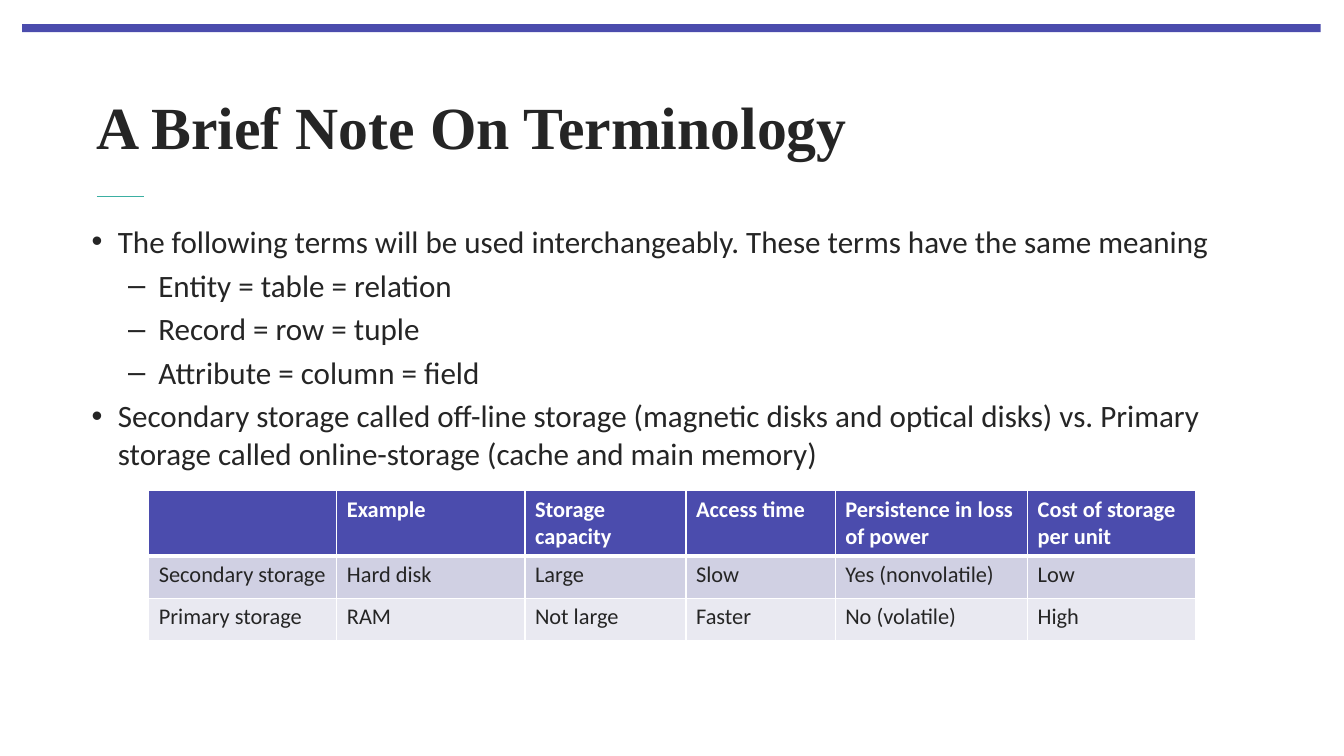
import dataclasses

import lxml.etree
import pptx
import pptx.dml.color
import pptx.enum.shapes
import pptx.enum.text
import pptx.oxml
import pptx.oxml.ns
import pptx.util

Cm = pptx.util.Cm
Pt = pptx.util.Pt
qn = pptx.oxml.ns.qn


@dataclasses.dataclass(frozen=True)
class Theme:
    """Colours, fonts and type sizes of the slide."""
    brand: str = "4B4CAD"
    accent: str = "3BAFA2"
    ink: str = "252525"
    white: str = "FFFFFF"
    bands: tuple = ("D0D0E3", "E9E9F1")
    serif: str = "Times New Roman"
    sans: str = "Calibri"
    title: float = 42.7
    body: float = 22.2
    cell: float = 16


THEME = Theme()
TITLE = "A Brief Note On Terminology"
POINTS = [
    (0, "The following terms will be used interchangeably. These terms have the same meaning"),
    (1, "Entity = table = relation"),
    (1, "Record = row = tuple"),
    (1, "Attribute = column = field"),
    (0, "Secondary storage called off-line storage (magnetic disks and optical disks) vs. "
        "Primary storage called online-storage (cache and main memory)"),
]
LEVELS = [("•", 0.66, 0.66), ("–", 1.68, 0.76)]
ROWS = [
    ["", "Example", "Storage capacity", "Access time",
     "Persistence in loss of power", "Cost of storage per unit"],
    ["Secondary storage", "Hard disk", "Large", "Slow", "Yes (nonvolatile)", "Low"],
    ["Primary storage", "RAM", "Not large", "Faster", "No (volatile)", "High"],
]
WIDTHS = [4.74, 4.74, 4.06, 3.76, 4.85, 4.24]
HEIGHTS = [1.6, 1.07, 1.07]


def rgb(code):
    """Turn a hex code into a colour."""
    return pptx.dml.color.RGBColor.from_string(code)


def write(para, text, size=THEME.cell, face=THEME.sans, color=THEME.ink, bold=False):
    """Add formatted text to a paragraph."""
    run = para.add_run()
    run.text = text
    font = run.font
    font.size, font.name, font.bold = Pt(size), face, bold
    font.color.rgb = rgb(color)


def place(shape, box, inset, anchor):
    """Move a placeholder into a box and set its text frame."""
    shape.left, shape.top, shape.width, shape.height = map(Cm, box)
    frame = shape.text_frame
    frame.word_wrap = True
    frame.auto_size = pptx.enum.text.MSO_AUTO_SIZE.NONE
    frame.vertical_anchor = anchor
    frame.margin_left = frame.margin_right = Cm(inset)
    frame.margin_top = frame.margin_bottom = 0
    return frame


def add_bar(slide, box):
    """Draw the coloured bar along the top."""
    bar = slide.shapes.add_shape(
        pptx.enum.shapes.MSO_SHAPE.RECTANGLE, *map(Cm, box))
    bar.shadow.inherit = False
    bar.fill.solid()
    bar.fill.fore_color.rgb = rgb(THEME.brand)
    bar.line.fill.background()


def add_head(slide, box):
    """Set the title with a short rule below it."""
    left, top, _, height = box
    frame = place(slide.shapes.title, box, 0, pptx.enum.text.MSO_ANCHOR.MIDDLE)
    para = frame.paragraphs[0]
    para.alignment = pptx.enum.text.PP_ALIGN.LEFT
    write(para, TITLE, size=THEME.title, face=THEME.serif, bold=True)
    level = Cm(top + height + 0.2)
    rule = slide.shapes.add_connector(
        pptx.enum.shapes.MSO_CONNECTOR.STRAIGHT,
        Cm(left), level, Cm(left + 1.2), level)
    rule.line.color.rgb = rgb(THEME.accent)
    rule.line.width = Pt(0.5)
    lxml.etree.SubElement(rule.element.spPr, qn("a:effectLst"))


def add_list(slide, box):
    """Fill the body with the two-level list."""
    frame = place(slide.placeholders[1], box, 0.25, pptx.enum.text.MSO_ANCHOR.TOP)
    for i, (level, text) in enumerate(POINTS):
        para = frame.add_paragraph() if i else frame.paragraphs[0]
        mark, left, hang = LEVELS[level]
        para.level = level
        para.space_before = Pt(0.2 * THEME.body if i else 0)
        props = para._p.get_or_add_pPr()
        props.set("marL", str(Cm(left)))
        props.set("indent", str(-Cm(hang)))
        lxml.etree.SubElement(props, qn("a:buChar"), char=mark)
        write(para, text, size=THEME.body)


def edge(cell, side, width):
    """Draw one white border of a cell."""
    line = lxml.etree.SubElement(
        cell._tc.get_or_add_tcPr(), qn("a:ln" + side), w=str(Pt(width)))
    fill = lxml.etree.SubElement(line, qn("a:solidFill"))
    lxml.etree.SubElement(fill, qn("a:srgbClr"), val=THEME.white)


def add_grid(slide, left, top):
    """Build the storage table from its top left corner."""
    table = slide.shapes.add_table(
        len(ROWS), len(WIDTHS), Cm(left), Cm(top),
        Cm(sum(WIDTHS)), Cm(sum(HEIGHTS))).table
    for col, width in zip(table.columns, WIDTHS):
        col.width = Cm(width)
    for r, (row, texts) in enumerate(zip(table.rows, ROWS)):
        row.height = Cm(HEIGHTS[r])
        head = r == 0
        for cell, text in zip(row.cells, texts):
            for side in "LRTB":
                thick = (side, r) in (("B", 0), ("T", 1))
                edge(cell, side, 3 if thick else 1)
            cell.fill.solid()
            cell.fill.fore_color.rgb = rgb(THEME.brand if head else THEME.bands[r - 1])
            if text:
                write(cell.text_frame.paragraphs[0], text, bold=head,
                      color=THEME.white if head else THEME.ink)


def main():
    """Build and save the slide."""
    deck = pptx.Presentation()
    deck.slide_width, deck.slide_height = Cm(33.87), Cm(19.05)
    slide = deck.slides.add_slide(deck.slide_layouts[1])
    add_bar(slide, (0.56, 0.61, 32.72, 0.2))
    add_head(slide, (2.44, 1.57, 29.49, 3.18))
    add_list(slide, (2.06, 5.61, 29.85, 6.15))
    add_grid(slide, 3.75, 12.37)
    deck.save("out.pptx")


if __name__ == "__main__":
    main()
